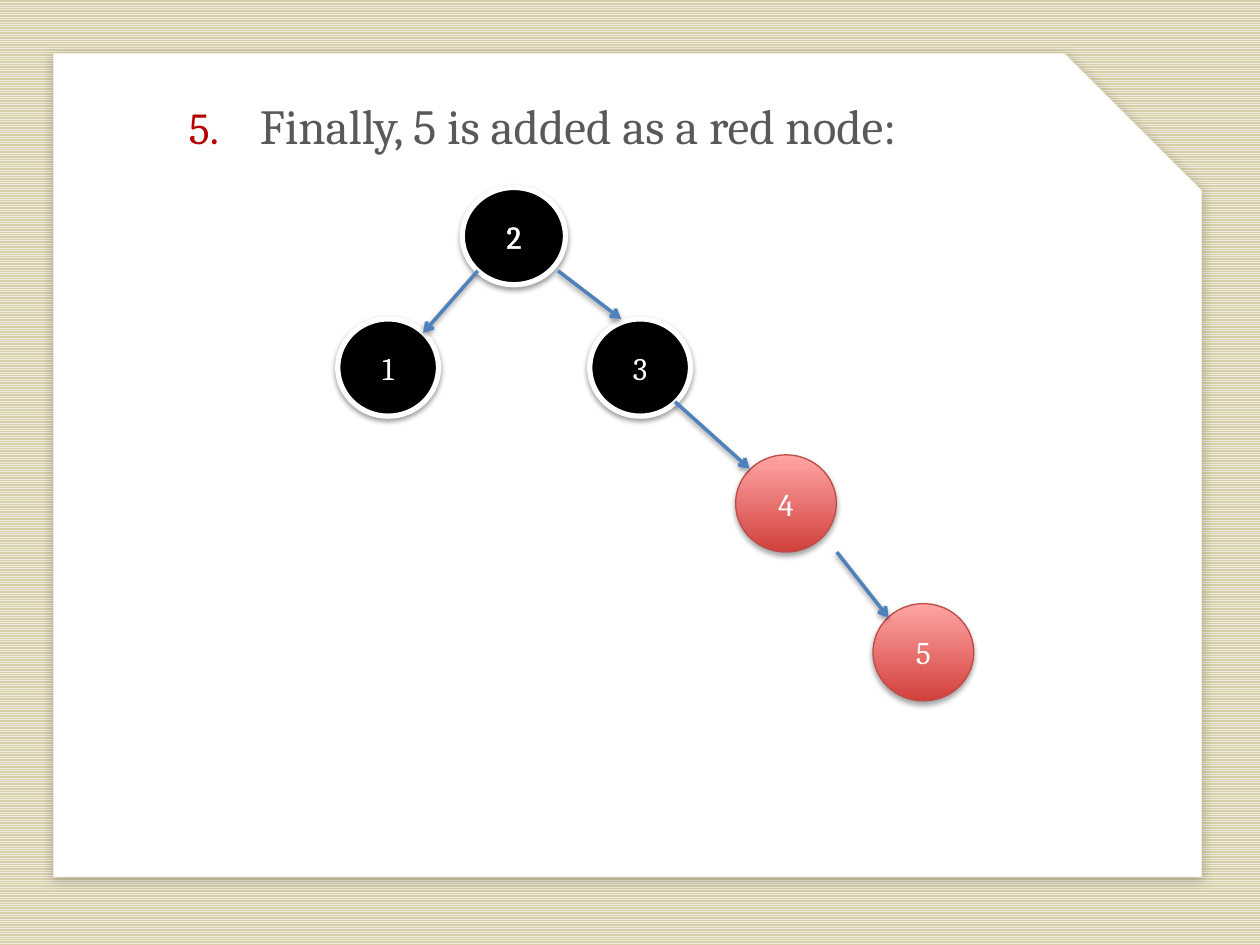
from lxml.etree import SubElement
from pptx import Presentation
from pptx.dml.color import RGBColor
from pptx.enum.dml import MSO_PATTERN
from pptx.enum.shapes import MSO_CONNECTOR, MSO_SHAPE
from pptx.enum.text import MSO_ANCHOR, PP_ALIGN
from pptx.oxml import parse_xml
from pptx.oxml.ns import nsdecls, qn
from pptx.util import Cm, Pt

STEP = "Finally, 5 is added as a red node:"
STEP_NUMBER = 5
STEP_BOX = (3.81, 1.93, 16.74, 13.08)
HANGING = Cm(1.43)
PAGE_BOX = (1.07, 1.07, 23.16, 16.61)
NODE_HEIGHT = 1.96
NODES = [
    ("1", 6.81, 6.43, 2.03, "black"),
    ("2", 9.32, 3.78, 2.08, "black"),
    ("3", 11.89, 6.43, 2.03, "black"),
    ("4", 14.83, 9.17, 2.03, "red"),
    ("5", 17.6, 12.17, 2.03, "red"),
]
EDGES = [
    (9.63, 5.46, 8.53, 6.71),
    (11.25, 5.46, 12.52, 6.43),
    (13.61, 8.1, 15.11, 9.45),
    (16.87, 11.13, 17.91, 12.45),
]
KINDS = {
    "black": {"fill": ["000000"], "line": ("FFFFFF", 3), "shadow": (38, 3.1, 1.6, 90)},
    "red": {"fill": ["D1403C", "FFA6A5"], "line": ("BF4C48", 0.75), "shadow": (35, 3.1, 1.8, 90)},
}
OUTLINED = "2"


def color(value):
    return RGBColor.from_string(value)


def box(lengths):
    return [Cm(length) for length in lengths]


def set_line(part, value, width):
    part.line.color.rgb = color(value)
    part.line.width = Pt(width)


def add_shadow(part, alpha, blur, distance, angle):
    part._element.spPr.append(parse_xml(
        f'<a:effectLst {nsdecls("a")}><a:outerShdw blurRad="{Pt(blur)}" dist="{Pt(distance)}" '
        f'dir="{angle * 60000}" algn="ctr" rotWithShape="0"><a:srgbClr val="000000">'
        f'<a:alpha val="{alpha * 1000}"/></a:srgbClr></a:outerShdw></a:effectLst>'))


def add_text(paragraph, words, size, value):
    run = paragraph.add_run()
    run.text = words
    for name, setting in {"name": "Cambria", "size": Pt(size)}.items():
        setattr(run.font, name, setting)
    run.font.color.rgb = color(value)
    return run


def set_fill(fill, values):
    if len(values) == 1:
        fill.solid()
        fill.fore_color.rgb = color(values[0])
        return
    fill.gradient()
    fill.gradient_angle = 90
    for stop, value in zip(fill.gradient_stops, values):
        stop.color.rgb = color(value)


def add_page(slide):
    page = slide.shapes.add_shape(MSO_SHAPE.SNIP_1_RECTANGLE, *box(PAGE_BOX))
    set_fill(page.fill, ["FFFFFF"])
    set_line(page, "D8CFA7", 0.25)
    add_shadow(page, 22, 6, 2, 80)


def add_step(slide):
    frame = slide.shapes.add_textbox(*box(STEP_BOX)).text_frame
    for name, setting in {"word_wrap": True, "margin_left": 0, "margin_right": 0,
                          "margin_top": 0, "margin_bottom": 0}.items():
        setattr(frame, name, setting)
    paragraph = frame.paragraphs[0]
    paragraph.space_before = Pt(5.6)
    add_text(paragraph, STEP, 28, "595959")
    properties = paragraph._p.get_or_add_pPr()
    properties.set("marL", str(HANGING))
    properties.set("indent", str(-HANGING))
    SubElement(SubElement(properties, qn("a:buClr")), qn("a:srgbClr"), val="B70000")
    SubElement(properties, qn("a:buSzPct"), val="90000")
    SubElement(properties, qn("a:buFont"), typeface="Cambria")
    SubElement(properties, qn("a:buAutoNum"), type="arabicPeriod", startAt=str(STEP_NUMBER))


def add_node(slide, label, left, top, width, kind):
    look = KINDS[kind]
    node = slide.shapes.add_shape(MSO_SHAPE.OVAL, *box((left, top, width, NODE_HEIGHT)))
    set_fill(node.fill, look["fill"])
    set_line(node, *look["line"])
    add_shadow(node, *look["shadow"])
    node.text_frame.vertical_anchor = MSO_ANCHOR.MIDDLE
    paragraph = node.text_frame.paragraphs[0]
    paragraph.alignment = PP_ALIGN.CENTER
    run = add_text(paragraph, label, 18, "FFFFFF")
    if label == OUTLINED:
        run.font._element.insert(0, parse_xml(
            f'<a:ln {nsdecls("a")} w="{Pt(1.45)}"><a:solidFill>'
            '<a:srgbClr val="FFFFFF"/></a:solidFill></a:ln>'))


def add_edge(slide, ends):
    edge = slide.shapes.add_connector(MSO_CONNECTOR.STRAIGHT, *box(ends))
    set_line(edge, "4F81BD", 2)
    SubElement(edge.line._get_or_add_ln(), qn("a:tailEnd"), type="arrow")
    add_shadow(edge, 38, 3.1, 1.6, 90)


deck = Presentation()
deck.slide_width, deck.slide_height = box((25.4, 19.05))
slide = deck.slides.add_slide(deck.slide_layouts[6])
backdrop = slide.background.fill
backdrop.patterned()
backdrop.pattern = MSO_PATTERN.NARROW_HORIZONTAL
backdrop.fore_color.rgb = color("EEECE1")
backdrop.back_color.rgb = color("D8CFA7")

add_page(slide)
add_step(slide)
for node in NODES:
    add_node(slide, *node)
for ends in EDGES:
    add_edge(slide, ends)
deck.save("out.pptx")
